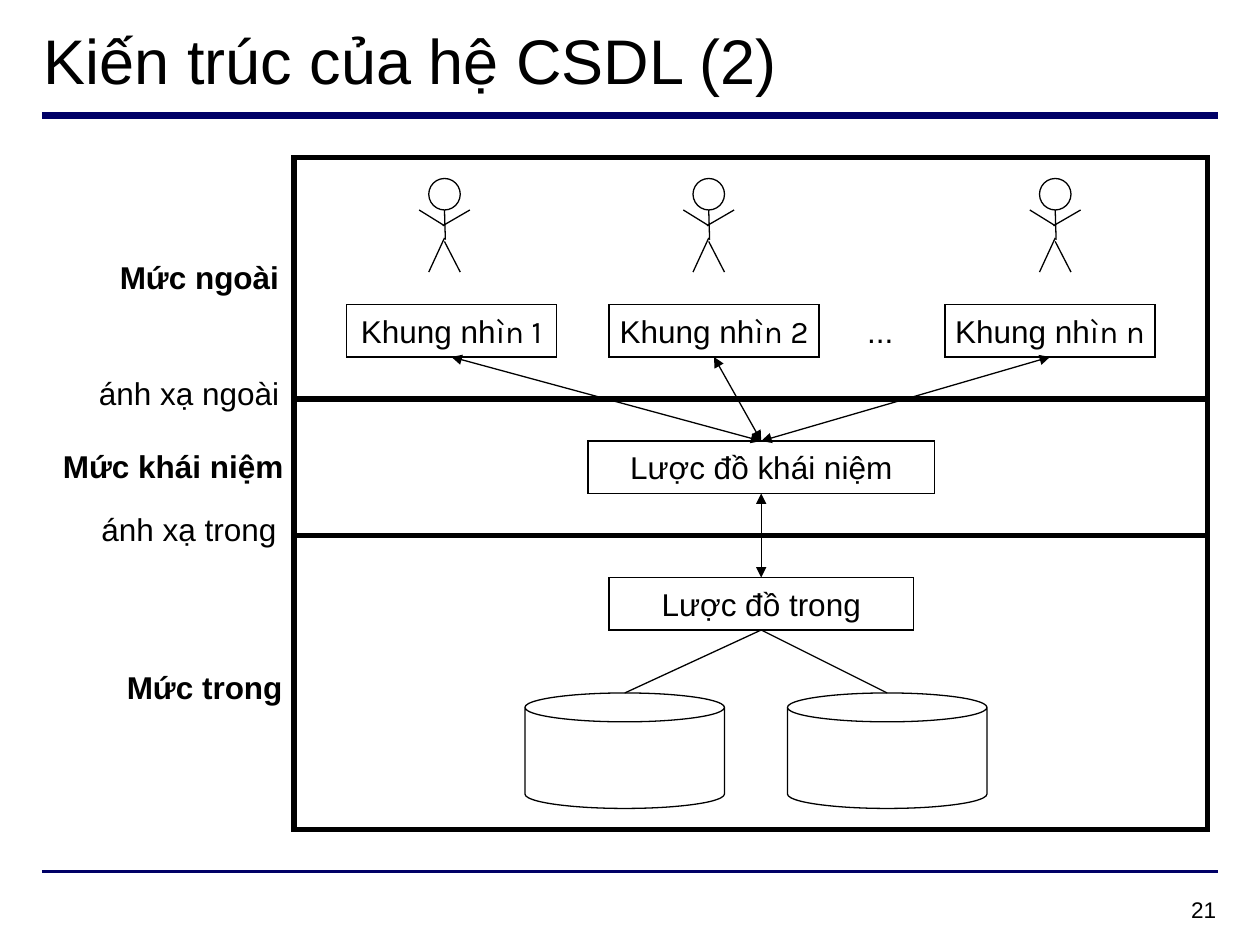
from lxml import etree
from pptx import Presentation
from pptx.dml.color import RGBColor
from pptx.enum.shapes import MSO_CONNECTOR, MSO_SHAPE
from pptx.enum.text import MSO_ANCHOR, PP_ALIGN
from pptx.oxml.ns import qn
from pptx.util import Pt

STRAIGHT = MSO_CONNECTOR.STRAIGHT
RECTANGLE, OVAL, CAN = MSO_SHAPE.RECTANGLE, MSO_SHAPE.OVAL, MSO_SHAPE.CAN
LEFT, CENTER, RIGHT = PP_ALIGN.LEFT, PP_ALIGN.CENTER, PP_ALIGN.RIGHT
TOP, MIDDLE = MSO_ANCHOR.TOP, MSO_ANCHOR.MIDDLE
SIDE_TOP, SIDE_BOTTOM = 0, 2

COLORS = {"ink": "000000", "rule": "000066"}
BODY_FONT, VIEW_FONT = "Arial", "Karla"
THIN, THICK = 0.75, 3
BOX_HEIGHT = 30
PAGE_INSET = 7.2


def color(name):
    return RGBColor.from_string(COLORS[name])


def write(shape, spans, size=18, bold=False, align=CENTER, anchor=MIDDLE, inset=0):
    """Fill a shape with one paragraph of (text, font) spans."""
    frame = shape.text_frame
    frame.word_wrap = True
    frame.margin_left = frame.margin_right = Pt(inset)
    frame.vertical_anchor = anchor
    para = frame.paragraphs[0]
    para.alignment = align
    for text, font in spans:
        span = para.add_run()
        span.text = text
        span.font.name = font
        span.font.size = Pt(size)
        span.font.bold = bold
        span.font.color.rgb = color("ink")
    return para


def add_text(page, left, top, width, height, text, **style):
    box = page.shapes.add_textbox(Pt(left), Pt(top), Pt(width), Pt(height))
    return write(box, [(text, BODY_FONT)], **style)


def add_outline(shapes, kind, left, top, width, height, weight=THIN):
    """Add an unfilled shape with sharp corners."""
    shape = shapes.add_shape(kind, Pt(left), Pt(top), Pt(width), Pt(height))
    shape.shadow.inherit = False
    shape.fill.background()
    shape.line.color.rgb = color("ink")
    shape.line.width = Pt(weight)
    etree.SubElement(shape.line._get_or_add_ln(), qn("a:miter"), lim="800000")
    return shape


def add_line(shapes, x1, y1, x2, y2, ink="ink", weight=THIN):
    line = shapes.add_connector(STRAIGHT, Pt(x1), Pt(y1), Pt(x2), Pt(y2))
    line.line.color.rgb = color(ink)
    line.line.width = Pt(weight)
    etree.SubElement(line._element.spPr, qn("a:effectLst"))
    return line


def link(page, upper, lower):
    """Join two boxes, bottom to top, with a double-headed arrow."""
    arrow = add_line(page.shapes, 0, 0, 0, 0)
    arrow.begin_connect(upper, SIDE_BOTTOM)
    arrow.end_connect(lower, SIDE_TOP)
    outline = arrow.line._get_or_add_ln()
    for end in ("a:headEnd", "a:tailEnd"):
        etree.SubElement(outline, qn(end), type="triangle")


def add_user(page, left, top):
    """Draw a stick figure whose head is 18 points wide."""
    group = page.shapes.add_group_shape()
    add_outline(group.shapes, OVAL, left, top, 18, 18)
    middle = left + 9
    limbs = [
        (0, 18, 0.5, 35),
        (0, 34, -9, 53.5),
        (0, 36, 9, 53.5),
        (14.5, 18, -1, 27),
        (-14.5, 18, 0, 27),
    ]
    for x1, y1, x2, y2 in limbs:
        add_line(group.shapes, middle + x1, top + y1, middle + x2, top + y2)


def add_frame(page, left, top, width, height):
    add_outline(page.shapes, RECTANGLE, left, top, width, height, THICK)


def external_level(page, left, top, width, height):
    add_frame(page, left, top, width, height)
    add_text(page, left - 108, top + 54, 108, BOX_HEIGHT, "Mức ngoài", bold=True, anchor=TOP)
    views = []
    for number, user_x, view_x in (("1", 77, 30), ("2", 228, 180), ("n", 426, 372)):
        add_user(page, left + user_x, top + 12)
        view = add_outline(page.shapes, RECTANGLE, left + view_x, top + 84, 120, BOX_HEIGHT)
        write(view, [("Khung nh", BODY_FONT), (f"ìn {number}", VIEW_FONT)])
        views.append(view)
    add_text(page, left + 314, top + 84, 42, BOX_HEIGHT, "...")
    return views


def conceptual_level(page, left, top, width, height):
    add_frame(page, left, top, width, height)
    add_text(page, left - 138, top + 24, 138, 33, "Mức khái niệm", bold=True, anchor=TOP)
    schema = add_outline(page.shapes, RECTANGLE, left + 168, top + 24, 198, BOX_HEIGHT)
    write(schema, [("Lược đồ khái niệm", BODY_FONT)])
    return schema


def internal_level(page, left, top, width, height):
    add_frame(page, left, top, width, height)
    add_text(page, left - 102, top + 72, 102, BOX_HEIGHT, "Mức trong", bold=True, anchor=TOP)
    schema = add_outline(page.shapes, RECTANGLE, left + 180, top + 24, 174, BOX_HEIGHT)
    write(schema, [("Lược đồ trong", BODY_FONT)])
    for store_x in (132, 282):
        store_left, store_top = left + store_x, top + 90
        add_outline(page.shapes, CAN, store_left, store_top, 114, 66)
        branch = add_line(page.shapes, 0, 0, store_left + 57, store_top)
        branch.begin_connect(schema, SIDE_BOTTOM)
    return schema


def architecture(page, left, top, width):
    """Stack the three levels and link their schemas."""
    heights = (138, 78, 168)
    conceptual_top = top + heights[0]
    internal_top = conceptual_top + heights[1]
    views = external_level(page, left, top, width, heights[0])
    conceptual = conceptual_level(page, left, conceptual_top, width, heights[1])
    internal = internal_level(page, left, internal_top, width, heights[2])
    for view in views:
        link(page, view, conceptual)
    link(page, conceptual, internal)
    for border, text in ((conceptual_top, "ánh xạ ngoài"), (internal_top, "ánh xạ trong")):
        add_text(page, left - 120, border - 18, 120, BOX_HEIGHT, text, anchor=TOP)


def heading(page, left, top, width):
    add_text(page, left, top, width, 50.5, "Kiến trúc của hệ CSDL (2)",
             size=36, align=LEFT, inset=PAGE_INSET)
    add_line(page.shapes, left + 6, top + 57.5, left + width - 6, top + 57.5, "rule", 4.5)


def footer(page, left, top, width):
    add_line(page.shapes, left, top, left + width, top, "rule", 2.25)
    para = add_text(page, left + width - 162, top + 12, 168, 24.5, "21",
                    size=12.9, align=RIGHT, anchor=TOP, inset=PAGE_INSET)
    para.line_spacing = 0.9


def main():
    deck = Presentation()
    deck.slide_width, deck.slide_height = Pt(720), Pt(540)
    page = deck.slides.add_slide(deck.slide_layouts[6])
    heading(page, 18, 8.5, 684)
    architecture(page, 168, 90, 522)
    footer(page, 24, 498, 672)
    deck.save("out.pptx")


if __name__ == "__main__":
    main()
